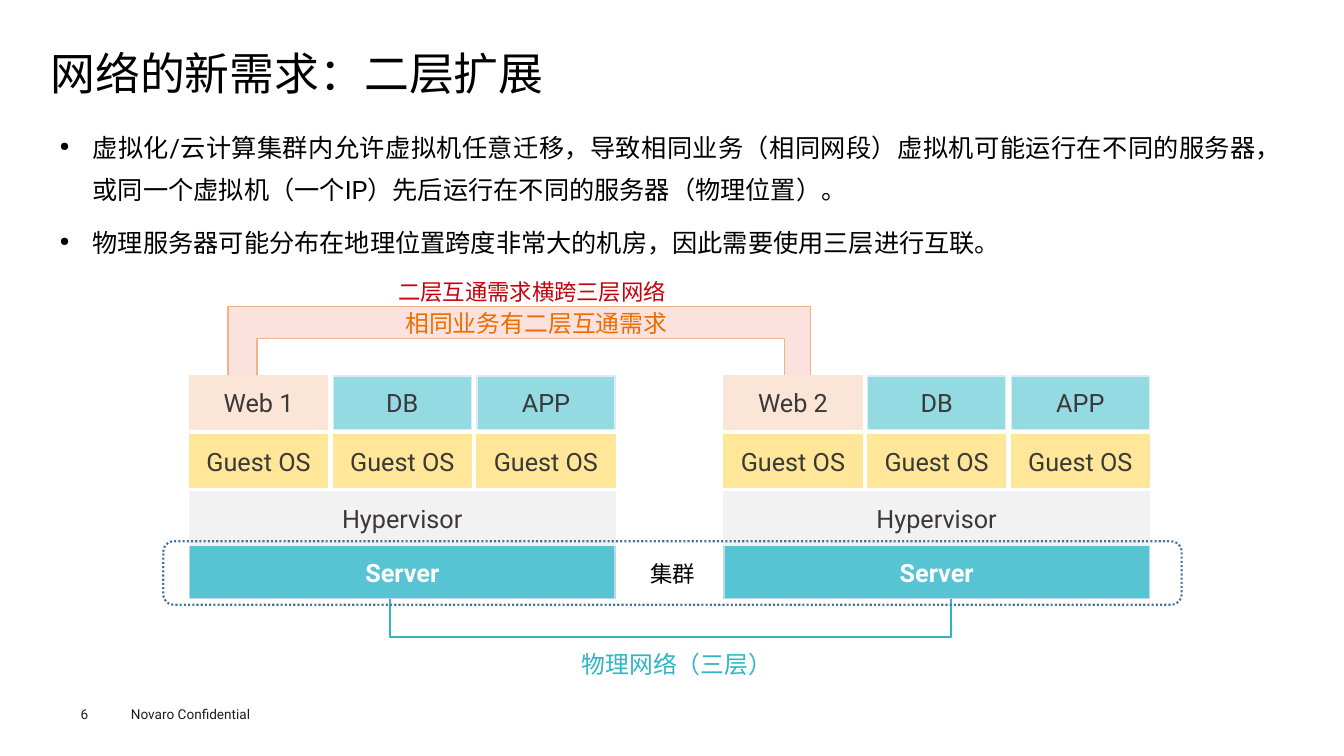
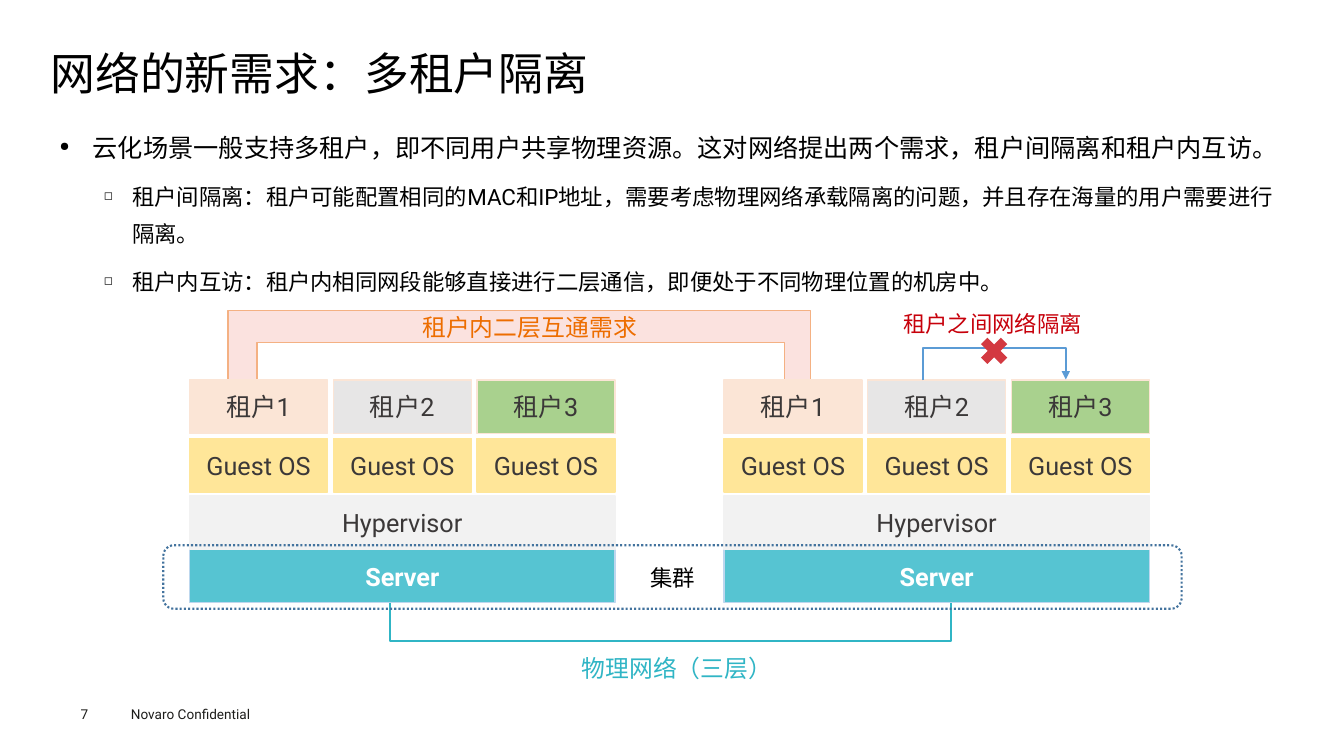
from dataclasses import dataclass

from lxml.etree import SubElement
from pptx import Presentation
from pptx.dml.color import RGBColor
from pptx.enum.dml import MSO_LINE
from pptx.enum.lang import MSO_LANGUAGE_ID as Language
from pptx.enum.shapes import MSO_CONNECTOR as Connector, MSO_SHAPE as Shape
from pptx.enum.text import MSO_ANCHOR as Anchor, MSO_AUTO_SIZE as AutoSize, PP_ALIGN as Align
from pptx.oxml.ns import qn
from pptx.util import Inches, Pt


@dataclass(frozen=True)
class Theme:
    font: str = "Roboto"
    ink: str = "000000"
    footer: str = "1D1D1B"
    box_text: str = "3B3838"
    white: str = "FFFFFF"
    red: str = "C7000B"
    cross: str = "D33941"
    orange: str = "ED6D00"
    teal: str = "30B5C5"
    server: str = "56C4D2"
    server_edge: str = "BDD7EE"
    hypervisor: str = "F2F2F2"
    guest: str = "FFE699"
    peach: str = "FBE5D6"
    aqua: str = "94DAE2"
    aqua_edge: str = "DEEBF7"
    gray: str = "E7E6E6"
    green: str = "A9D18E"
    bridge: str = "FBE2DF"
    bridge_edge: str = "F4B183"
    cluster: str = "43739E"
    arrow: str = "5B9BD5"
    title_size: float = 32
    body_size: float = 18
    sub_size: float = 16
    box_size: float = 18
    caption_size: float = 17
    note_size: float = 16
    footer_size: float = 9.7


THEME = Theme()
HOST_LEFTS = (1.88, 7.18)
HOST_WIDTH, BOX_WIDTH, BOX_HEIGHT = 4.22, 1.37, 0.53
COLUMN_STEP = (HOST_WIDTH - BOX_WIDTH) / 2


@dataclass(frozen=True)
class BulletStyle:
    char: str
    size: float
    left: float
    hang: float
    before: float
    align: Align


BULLETS = (
    BulletStyle("●", THEME.body_size, 0.33, 0.33, 7.9, Align.JUSTIFY),
    BulletStyle("◻", THEME.sub_size, 0.72, 0.28, 7.2, Align.LEFT),
)


def write(paragraph, text, *, size, color=THEME.ink, bold=False, align=Align.LEFT):
    paragraph.alignment = align
    run = paragraph.add_run()
    run.text = text
    run.font.size = Pt(size)
    run.font.bold = bold
    run.font.name = THEME.font
    run.font.color.rgb = RGBColor.from_string(color)
    run.font.language_id = Language.SIMPLIFIED_CHINESE
    SubElement(run._r.get_or_add_rPr(), qn("a:ea"), typeface=THEME.font)


def set_insets(frame, side, end):
    frame.margin_left = frame.margin_right = Inches(side)
    frame.margin_top = frame.margin_bottom = Inches(end)


class Deck:
    def __init__(self):
        self.prs = Presentation()
        self.prs.slide_width = Inches(13.33)
        self.prs.slide_height = Inches(7.5)
        self.slide = None

    def new_slide(self, number, title):
        self.slide = self.prs.slides.add_slide(self.prs.slide_layouts[6])
        footer = {"size": THEME.footer_size, "color": THEME.footer}
        self.label("Novaro Confidential", 1.2, 6.95, 1.6, 0.27, **footer)
        page = self.label(str(number), 0.8, 7, 0.55, 0.16, **footer)
        set_insets(page, 0, 0)
        heading = self.frame(0.5, 0.49, 12.31, 0.53)
        set_insets(heading, 0, 0)
        heading.word_wrap = True
        heading.vertical_anchor = Anchor.MIDDLE
        heading.paragraphs[0].line_spacing = 0.9
        write(heading.paragraphs[0], title, size=THEME.title_size)

    def frame(self, left, top, width, height):
        box = self.slide.shapes.add_textbox(
            Inches(left), Inches(top), Inches(width), Inches(height))
        return box.text_frame

    def label(self, text, left, top, width, height, **style):
        frame = self.frame(left, top, width, height)
        frame.word_wrap = False
        frame.auto_size = AutoSize.SHAPE_TO_FIT_TEXT
        write(frame.paragraphs[0], text, **style)
        return frame

    def body(self, height, items):
        frame = self.frame(0.5, 1.15, 12.31, height)
        frame.word_wrap = True
        set_insets(frame, 0.09, 0.04)
        for index, (level, text) in enumerate(items):
            paragraph = frame.add_paragraph() if index else frame.paragraphs[0]
            style = BULLETS[level]
            props = paragraph._p.get_or_add_pPr()
            props.set("marL", str(Inches(style.left)))
            props.set("indent", str(-Inches(style.hang)))
            SubElement(props, qn("a:buSzPct"), val="50000")
            SubElement(props, qn("a:buChar"), char=style.char)
            paragraph.level = level
            paragraph.line_spacing = 1.4
            if index:
                paragraph.space_before = Pt(style.before)
            write(paragraph, text, size=style.size, align=style.align)

    def paint(self, shape, fill=None, line=None, weight=1):
        shape.shadow.inherit = False
        if fill:
            shape.fill.solid()
            shape.fill.fore_color.rgb = RGBColor.from_string(fill)
        else:
            shape.fill.background()
        if line:
            shape.line.color.rgb = RGBColor.from_string(line)
            shape.line.width = Pt(weight)
        else:
            shape.line.fill.background()

    def shape(self, kind, left, top, width, height, **paint):
        shape = self.slide.shapes.add_shape(
            kind, Inches(left), Inches(top), Inches(width), Inches(height))
        self.paint(shape, **paint)
        return shape

    def box(self, text, left, top, width, fill, edge, color=THEME.box_text, bold=False):
        box = self.shape(Shape.RECTANGLE, left, top, width, BOX_HEIGHT, fill=fill, line=edge)
        box.text_frame.vertical_anchor = Anchor.MIDDLE
        write(box.text_frame.paragraphs[0], text, size=THEME.box_size,
              color=color, bold=bold, align=Align.CENTER)

    def outline(self, points, closed, **paint):
        corners = [(Inches(x), Inches(y)) for x, y in points]
        builder = self.slide.shapes.build_freeform(*corners[0])
        builder.add_line_segments(corners[1:], close=closed)
        self.paint(builder.convert_to_shape(), **paint)

    def bridge(self, top):
        outer, inner = top - 0.69, top - 0.37
        self.outline(
            [(2.26, top), (2.26, outer), (8.04, outer), (8.04, top),
             (7.78, top), (7.78, inner), (2.55, inner), (2.55, top)],
            True, fill=THEME.bridge, line=THEME.bridge_edge)

    def host(self, left, top, apps):
        self.box("Server", left, top + 1.68, HOST_WIDTH, THEME.server,
                 THEME.server_edge, THEME.white, True)
        self.box("Hypervisor", left, top + 1.15, HOST_WIDTH,
                 THEME.hypervisor, THEME.hypervisor)
        for column, (name, fill, edge) in enumerate(apps):
            x = left + column * COLUMN_STEP
            self.box("Guest OS", x, top + 0.58, BOX_WIDTH, THEME.guest, THEME.guest)
            self.box(name, x, top, BOX_WIDTH, fill, edge)

    def cluster(self, top, hosts):
        self.bridge(top)
        for left, apps in zip(HOST_LEFTS, hosts):
            self.host(left, top, apps)
        cable_top, cable_bottom = top + 2.21, top + 2.59
        self.outline([(3.87, cable_top), (3.87, cable_bottom),
                      (9.43, cable_bottom), (9.43, cable_top)],
                     False, line=THEME.teal, weight=1.5)
        border = self.shape(Shape.ROUNDED_RECTANGLE, 1.62, top + 1.64, 10.1, 0.63,
                            line=THEME.cluster, weight=1.5)
        border.line.dash_style = MSO_LINE.ROUND_DOT
        self.label("集群", 6.35, top + 1.78, 0.65, 0.37, size=THEME.note_size)
        self.label("物理网络（三层）", 5.67, top + 2.67, 2.11, 0.39,
                   size=THEME.caption_size, color=THEME.teal)

    def blocked_arrow(self, left, right, base, rise):
        center, half, depth = (left + right) / 2, (right - left) / 2, 0.01
        arrow = self.slide.shapes.add_connector(
            Connector.ELBOW, Inches(center + depth / 2), Inches(base + half),
            Inches(center - depth / 2), Inches(base - half))
        arrow.line.color.rgb = RGBColor.from_string(THEME.arrow)
        arrow.line.width = Pt(1.5)
        props = arrow._element.spPr
        props.find(qn("a:xfrm")).set("rot", "5400000")
        geometry = props.find(qn("a:prstGeom"))
        guides = geometry.find(qn("a:avLst"))
        if guides is None:
            guides = SubElement(geometry, qn("a:avLst"))
        SubElement(guides, qn("a:gd"), name="adj1", fmla=f"val {round(rise / depth * 100000)}")
        SubElement(props.find(qn("a:ln")), qn("a:tailEnd"), type="triangle")
        SubElement(props, qn("a:effectLst"))
        self.shape(Shape.MATH_MULTIPLY, center - 0.19, base - 0.48, 0.38, 0.38,
                   fill=THEME.cross)


def layer_two_slide(deck):
    deck.new_slide(6, "网络的新需求：二层扩展")
    deck.body(1.58, [
        (0, "虚拟化/云计算集群内允许虚拟机任意迁移，导致相同业务（相同网段）虚拟机可能运行在不同的服务器，"
            "或同一个虚拟机（一个IP）先后运行在不同的服务器（物理位置）。"),
        (0, "物理服务器可能分布在地理位置跨度非常大的机房，因此需要使用三层进行互联。"),
    ])
    top = 3.73
    deck.cluster(top, [
        [(web, THEME.peach, THEME.peach),
         ("DB", THEME.aqua, THEME.aqua_edge),
         ("APP", THEME.aqua, THEME.aqua_edge)]
        for web in ("Web 1", "Web 2")])
    deck.label("二层互通需求横跨三层网络", 3.85, 2.71, 2.89, 0.37,
               size=THEME.note_size, color=THEME.red)
    deck.label("相同业务有二层互通需求", 3.92, top - 0.72, 2.82, 0.39,
               size=THEME.caption_size, color=THEME.orange)


def tenant_slide(deck):
    deck.new_slide(7, "网络的新需求：多租户隔离")
    deck.body(1.86, [
        (0, "云化场景一般支持多租户，即不同用户共享物理资源。这对网络提出两个需求，租户间隔离和租户内互访。"),
        (1, "租户间隔离：租户可能配置相同的MAC和IP地址，需要考虑物理网络承载隔离的问题，"
            "并且存在海量的用户需要进行隔离。"),
        (1, "租户内互访：租户内相同网段能够直接进行二层通信，即便处于不同物理位置的机房中。"),
    ])
    top = 3.77
    tenants = [(f"租户{number}", fill, THEME.peach) for number, fill in
               enumerate((THEME.peach, THEME.gray, THEME.green), 1)]
    deck.cluster(top, [tenants, tenants])
    deck.label("租户内二层互通需求", 4.09, top - 0.72, 2.35, 0.39,
               size=THEME.caption_size, color=THEME.orange)
    deck.label("租户之间网络隔离", 8.86, 3.03, 2, 0.37,
               size=THEME.note_size, color=THEME.red)
    deck.blocked_arrow(9.15, 10.57, top, 0.33)


def main():
    deck = Deck()
    layer_two_slide(deck)
    tenant_slide(deck)
    deck.prs.save("out.pptx")


if __name__ == "__main__":
    main()
